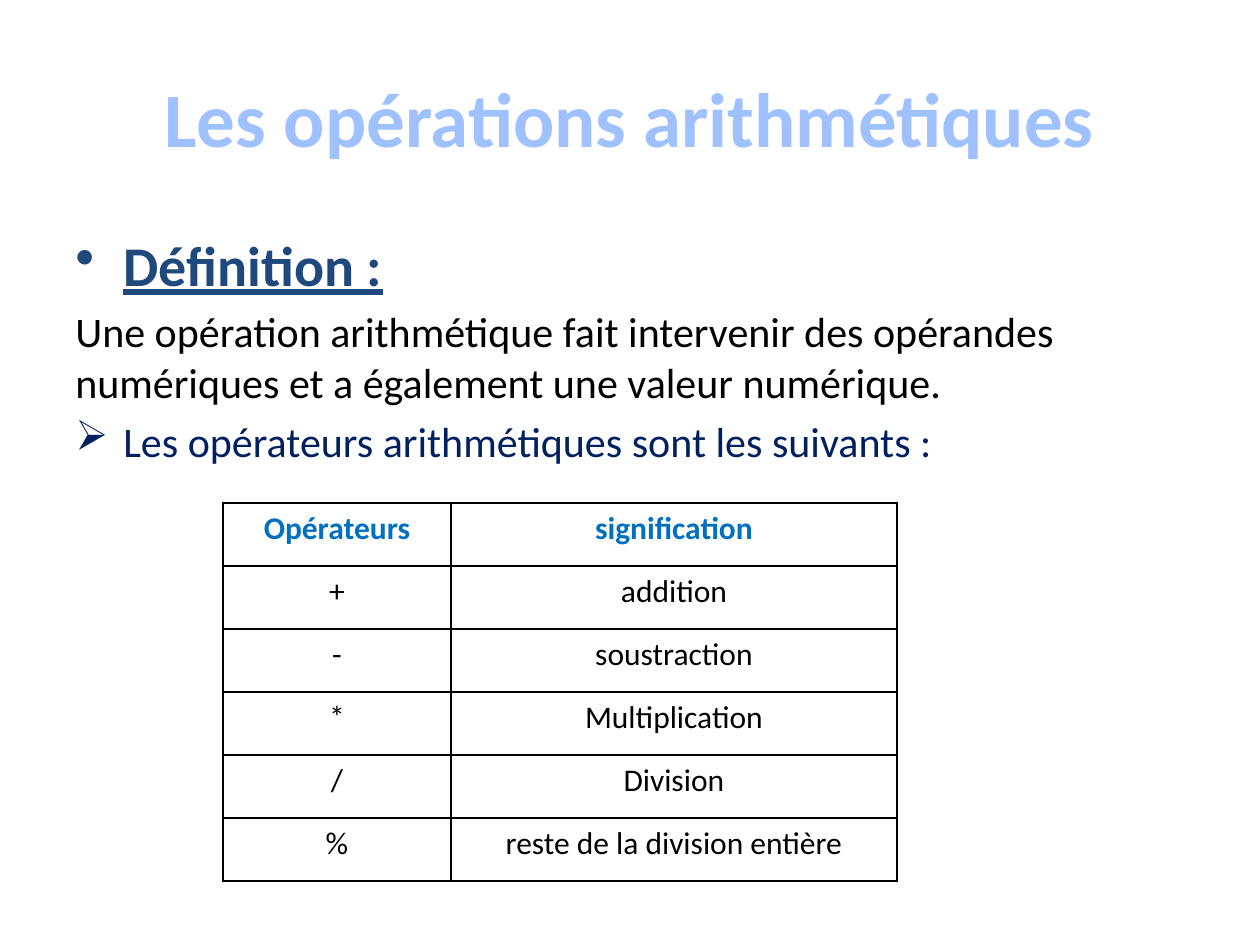
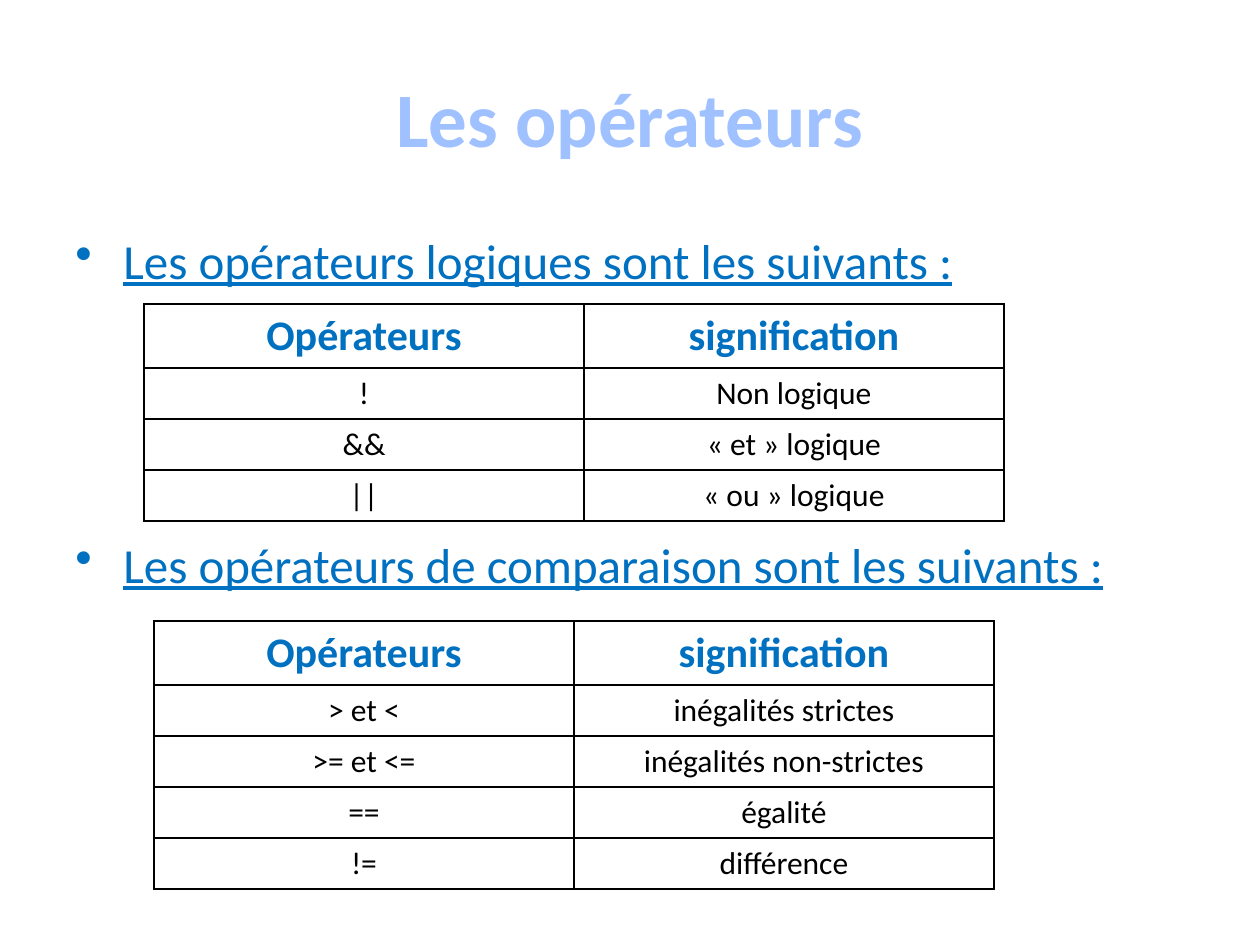
from dataclasses import dataclass

from lxml.etree import SubElement
from pptx import Presentation
from pptx.dml.color import RGBColor
from pptx.enum.text import MSO_ANCHOR, PP_ALIGN
from pptx.oxml.ns import qn
from pptx.slide import Slide
from pptx.util import Emu, Pt

FACE = "Calibri"
SKY = RGBColor(0xA0, 0xC1, 0xFF)
BLUE = RGBColor(0x00, 0x70, 0xC0)
SLATE = RGBColor(0x1F, 0x49, 0x7D)
NAVY = RGBColor(0x00, 0x20, 0x60)
BLACK = RGBColor(0x00, 0x00, 0x00)

LEFT, WIDE, HANG = 63, 1134, 48
HEAD = ("Opérateurs", "signification")


@dataclass(frozen=True)
class Line:
    text: str
    size: int
    color: RGBColor
    bold: bool = False
    under: bool = False
    mark: str = ""


@dataclass(frozen=True)
class Grid:
    left: int
    top: int
    cols: tuple[int, int]
    first: int
    step: int
    size: int
    rows: tuple[tuple[str, str], ...]


def px(count: int) -> Emu:
    return Emu(round(count * 914400 / 126))


def style(para, line: Line) -> None:
    para.text = line.text
    font = para.font
    font.name = FACE
    font.size = Pt(line.size)
    font.bold = line.bold
    font.underline = line.under
    font.color.rgb = line.color


def add_mark(para, mark: str) -> None:
    props = para._p.get_or_add_pPr()
    props.set("marL", str(px(HANG)))
    props.set("indent", str(-px(HANG)))
    SubElement(props, qn("a:buChar")).set("char", mark)


def add_title(slide: Slide, text: str) -> None:
    frame = slide.shapes.add_textbox(px(LEFT), px(38), px(WIDE), px(158)).text_frame
    frame.word_wrap = True
    frame.vertical_anchor = MSO_ANCHOR.MIDDLE
    para = frame.paragraphs[0]
    para.alignment = PP_ALIGN.CENTER
    style(para, Line(text, 44, SKY, bold=True))


def add_body(slide: Slide, top: int, high: int, *lines: Line) -> None:
    frame = slide.shapes.add_textbox(px(LEFT), px(top), px(WIDE), px(high)).text_frame
    frame.word_wrap = True
    for rank, line in enumerate(lines):
        para = frame.add_paragraph() if rank else frame.paragraphs[0]
        if rank:
            para.space_before = Pt(line.size * 0.2)
        if line.mark:
            add_mark(para, line.mark)
        style(para, line)


def add_edges(cell) -> None:
    props = cell._tc.get_or_add_tcPr()
    for side in ("lnL", "lnR", "lnT", "lnB"):
        edge = SubElement(props, qn(f"a:{side}"))
        edge.set("w", str(Pt(1)))
        fill = SubElement(edge, qn("a:solidFill"))
        SubElement(fill, qn("a:srgbClr")).set("val", str(BLACK))


def add_grid(slide: Slide, grid: Grid) -> None:
    rows = (HEAD, *grid.rows)
    highs = [grid.first] + [grid.step] * len(grid.rows)
    table = slide.shapes.add_table(
        len(rows), len(HEAD), px(grid.left), px(grid.top),
        px(sum(grid.cols)), px(sum(highs)),
    ).table
    table.first_row = False
    table.horz_banding = False
    for col, wide in zip(table.columns, grid.cols):
        col.width = px(wide)
    for rank, (row, high, texts) in enumerate(zip(table.rows, highs, rows)):
        row.height = px(high)
        for cell, text in zip(row.cells, texts):
            add_edges(cell)
            cell.fill.background()
            para = cell.text_frame.paragraphs[0]
            para.alignment = PP_ALIGN.CENTER
            if rank:
                style(para, Line(text, 18, BLACK))
            else:
                style(para, Line(text, grid.size, BLUE, bold=True))


MATH = Grid(223, 503, (228, 446), 63, 63, 18, (
    ("+", "addition"),
    ("-", "soustraction"),
    ("*", "Multiplication"),
    ("/", "Division"),
    ("%", "reste de la division entière"),
))
LOGIC = Grid(144, 304, (440, 420), 64, 51, 24, (
    ("!", "Non logique"),
    ("&&", "« et » logique"),
    ("||", "« ou » logique"),
))
ORDER = Grid(154, 621, (420, 420), 64, 51, 24, (
    ("> et <", "inégalités strictes"),
    (">= et <=", "inégalités non-strictes"),
    ("==", "égalité"),
    ("!=", "différence"),
))


def main() -> None:
    deck = Presentation()
    deck.slide_width, deck.slide_height = px(1260), px(945)
    blank = deck.slide_layouts[6]

    slide = deck.slides.add_slide(blank)
    add_title(slide, "Les opérations arithmétiques")
    add_body(
        slide, 224, 260,
        Line("Définition :", 32, SLATE, bold=True, under=True, mark="•"),
        Line("Une opération arithmétique fait intervenir des opérandes "
             "numériques et a également une valeur numérique.", 24, BLACK),
        Line("Les opérateurs arithmétiques sont les suivants :", 24, NAVY, mark="➢"),
    )
    add_grid(slide, MATH)

    slide = deck.slides.add_slide(blank)
    add_title(slide, "Les opérateurs")
    for top, kind, grid in ((224, "logiques", LOGIC), (528, "de comparaison", ORDER)):
        text = f"Les opérateurs {kind} sont les suivants :"
        add_body(slide, top, 73, Line(text, 28, BLUE, under=True, mark="•"))
        add_grid(slide, grid)

    deck.save("out.pptx")


if __name__ == "__main__":
    main()
